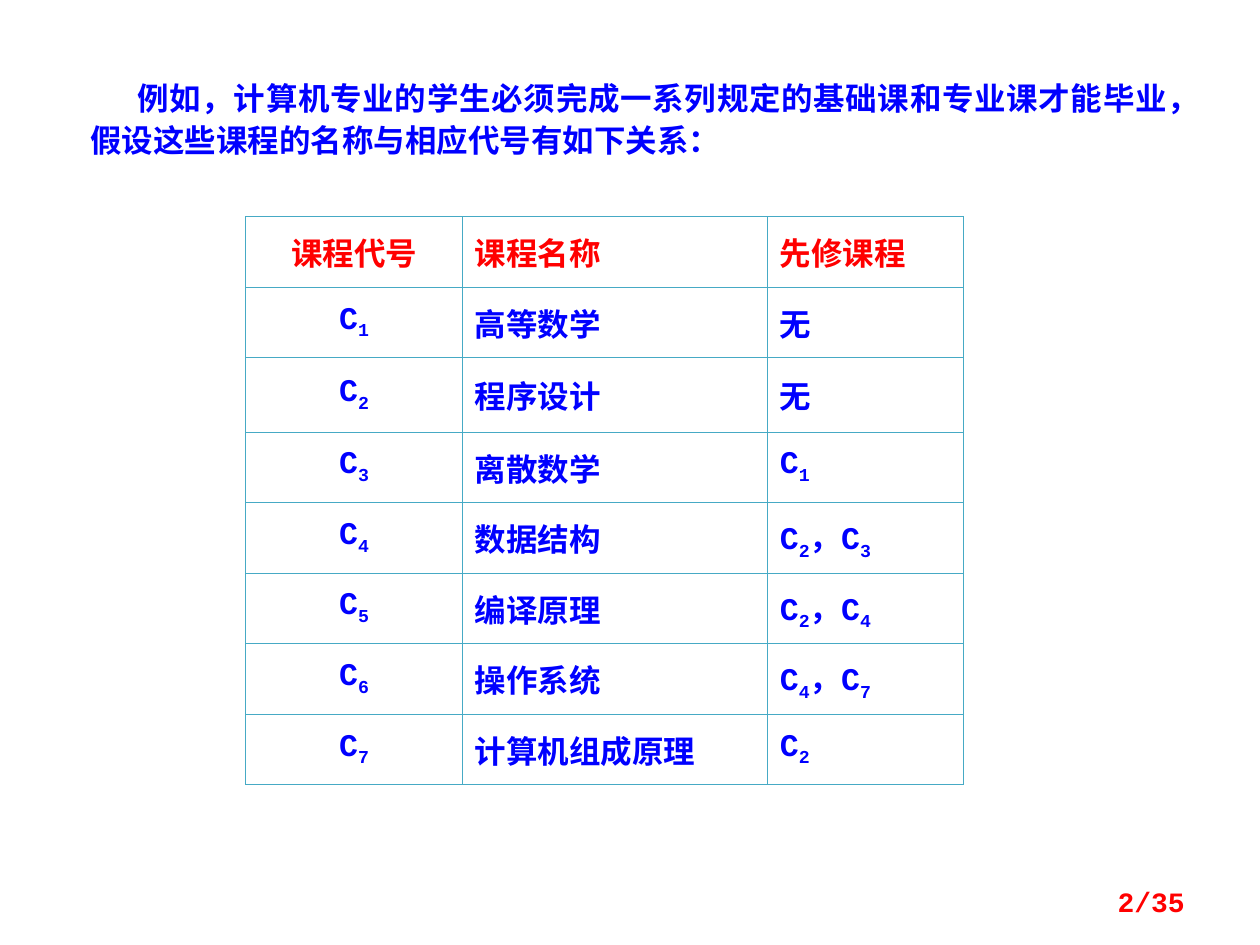
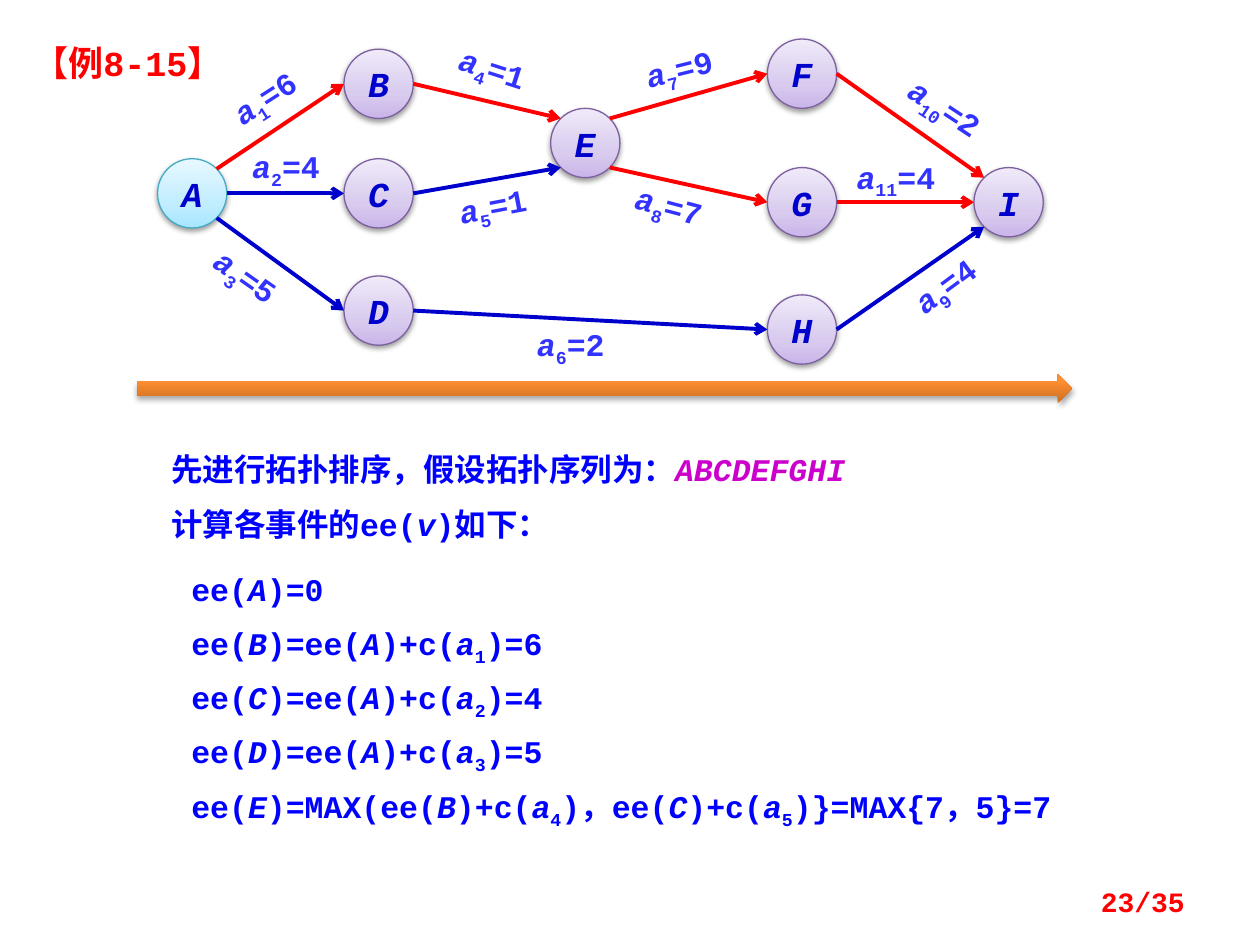
import math
from dataclasses import dataclass
from typing import Any, Iterator, NamedTuple, Optional

import lxml.etree
import pptx
import pptx.dml.color
import pptx.enum.shapes
import pptx.enum.text
import pptx.oxml.ns
import pptx.util

RGBColor = pptx.dml.color.RGBColor
Align = pptx.enum.text.PP_ALIGN
Anchor = pptx.enum.text.MSO_ANCHOR
Preset = pptx.enum.shapes.MSO_SHAPE
qn = pptx.oxml.ns.qn

EMU_PER_PX = 9144
BLUE = RGBColor(0x00, 0x00, 0xFF)
DARK_BLUE = RGBColor(0x00, 0x00, 0xCC)
LABEL_BLUE = RGBColor(0x33, 0x33, 0xFF)
RED = RGBColor(0xFF, 0x00, 0x00)
MAGENTA = RGBColor(0xCC, 0x00, 0xCC)
WHITE = RGBColor(0xFF, 0xFF, 0xFF)
TEAL = RGBColor(0x46, 0xAA, 0xC5)
PURPLE = RGBColor(0x7D, 0x60, 0xA0)

CJK_FONT = "Noto Sans CJK SC"
CODE_FONT = "Courier New"
MARKERS = {"*": "italic", "~": "subscript", "^": "accent"}
PAGE_COUNT = 35
NO_MARGINS = dict.fromkeys(("margin_left", "margin_right", "margin_top", "margin_bottom"), 0)


class Box(NamedTuple):
    left: int
    top: int
    width: int
    height: int


@dataclass(frozen=True)
class TextStyle:
    color: RGBColor
    size: int = 18
    font: str = CODE_FONT
    italic: bool = False
    alignment: Any = Align.LEFT
    line_spacing: Any = 1.0
    gap: int = 0
    indent: int = 0


@dataclass(frozen=True)
class Gradient:
    stops: tuple[tuple[int, RGBColor], ...]
    shadow_opacity: int
    shadow_distance: float


@dataclass(frozen=True)
class Event:
    left: int
    top: int
    diameter: int = 55

    def rim(self, degrees: int) -> tuple[int, int]:
        radius = self.diameter / 2
        angle = math.radians(degrees)
        return (px(self.left + radius + radius * math.cos(angle)),
                px(self.top + radius + radius * math.sin(angle)))


class Activity(NamedTuple):
    source: str
    leave: int
    target: str
    arrive: int
    color: RGBColor
    duration: int
    label_left: int
    label_top: int
    rotation: float


CYAN_GRADIENT = Gradient(((0, RGBColor(0xA7, 0xE6, 0xFF)), (35, RGBColor(0xC1, 0xED, 0xFF)),
                          (100, RGBColor(0xE7, 0xF8, 0xFF))), 38, 1.6)
LILAC_GRADIENT = Gradient(((0, RGBColor(0xC9, 0xB5, 0xE8)), (35, RGBColor(0xD8, 0xCB, 0xEE)),
                           (100, RGBColor(0xF0, 0xEA, 0xF9))), 38, 1.6)
ORANGE_GRADIENT = Gradient(((0, RGBColor(0xCC, 0x6E, 0x20)), (80, RGBColor(0xFF, 0x90, 0x34)),
                            (100, RGBColor(0xFF, 0x91, 0x36))), 35, 1.8)

TITLE_STYLE = TextStyle(RED, 20, alignment=Align.CENTER)
PAGE_STYLE = TextStyle(RED, 16, alignment=Align.RIGHT)
EXAMPLE_STYLE = TextStyle(BLUE, font="Times New Roman", alignment=Align.JUSTIFY,
                          line_spacing=1.1, indent=37)
ORDER_STYLE = TextStyle(BLUE, line_spacing=pptx.util.Pt(22), gap=9)
FORMULA_STYLE = TextStyle(BLUE, alignment=Align.JUSTIFY, line_spacing=0.9, gap=9)
EVENT_STYLE = TextStyle(DARK_BLUE, 20, italic=True, alignment=Align.CENTER)
ACTIVITY_STYLE = TextStyle(LABEL_BLUE, alignment=Align.CENTER)

COLUMN_WIDTHS = (172, 242, 156)
ROW_HEIGHTS = (56, 56, 59, 56, 56, 56, 56, 56)
COURSES = (
    ("课程代号", "课程名称", "先修课程"),
    ("C~1~", "高等数学", "无"),
    ("C~2~", "程序设计", "无"),
    ("C~3~", "离散数学", "C~1~"),
    ("C~4~", "数据结构", "C~2~，C~3~"),
    ("C~5~", "编译原理", "C~2~，C~4~"),
    ("C~6~", "操作系统", "C~4~，C~7~"),
    ("C~7~", "计算机组成原理", "C~2~"),
)

EVENTS = {
    "A": Event(125, 126), "B": Event(273, 39), "C": Event(273, 126),
    "D": Event(273, 219), "E": Event(437, 86), "F": Event(609, 31),
    "G": Event(609, 133), "H": Event(609, 234), "I": Event(773, 133),
}
ACTIVITIES = (
    Activity("A", -45, "B", 180, RED, 6, 163, 62, 327.3),
    Activity("A", 0, "C", 180, DARK_BLUE, 4, 180, 117, 0),
    Activity("A", 45, "D", 180, DARK_BLUE, 5, 148, 204, 35.2),
    Activity("B", 0, "E", 225, RED, 1, 344, 39, 17.8),
    Activity("C", 0, "E", 135, DARK_BLUE, 1, 344, 148, 349.2),
    Activity("D", 0, "H", 180, DARK_BLUE, 2, 406, 258, 0),
    Activity("E", -45, "F", 180, RED, 9, 492, 39, 346),
    Activity("E", 45, "G", 180, RED, 7, 484, 148, 14.7),
    Activity("H", 0, "I", 135, DARK_BLUE, 4, 703, 211, 323.4),
    Activity("F", 0, "I", 225, RED, 2, 703, 70, 33.4),
    Activity("G", 0, "I", 180, RED, 4, 664, 125, 0),
)
FORMULAS = (
    "ee(*A*)=0",
    "ee(*B*)=ee(*A*)+c(*a*~1~)=6",
    "ee(*C*)=ee(*A*)+c(*a*~2~)=4",
    "ee(*D*)=ee(*A*)+c(*a*~3~)=5",
    "ee(*E*)=MAX(ee(*B*)+c(*a*~4~)，ee(*C*)+c(*a*~5~)}=MAX{7，5}=7",
)


def px(value: float) -> int:
    return round(value * EMU_PER_PX)


def scaled(box: Box) -> list[int]:
    return [px(value) for value in box]


def apply(target: Any, values: dict[str, Any]) -> None:
    for name, value in values.items():
        setattr(target, name, value)


def add_element(parent: Any, tag: str, **attributes: Any) -> Any:
    texts = {name: str(value) for name, value in attributes.items()}
    return lxml.etree.SubElement(parent, qn(tag), texts)


def parse_markup(markup: str) -> Iterator[tuple[str, frozenset[str]]]:
    active: frozenset[str] = frozenset()
    piece = ""
    for character in markup:
        if character not in MARKERS:
            piece += character
            continue
        if piece:
            yield piece, active
        piece = ""
        active ^= {MARKERS[character]}
    if piece:
        yield piece, active


def write_text(frame: Any, lines: tuple[str, ...], style: TextStyle) -> None:
    for index, line in enumerate(lines):
        paragraph = frame.add_paragraph() if index else frame.paragraphs[0]
        apply(paragraph, {"alignment": style.alignment, "line_spacing": style.line_spacing,
                          "space_before": pptx.util.Pt(style.gap if index else 0)})
        if style.indent:
            paragraph._p.get_or_add_pPr().set("indent", str(px(style.indent)))
        for text, marks in parse_markup(line):
            run = paragraph.add_run()
            run.text = text
            apply(run.font, {"name": style.font, "size": pptx.util.Pt(style.size), "bold": True,
                             "italic": style.italic or "italic" in marks})
            run.font.color.rgb = MAGENTA if "accent" in marks else style.color
            properties = run._r.get_or_add_rPr()
            properties.set("lang", "zh-CN")
            if "subscript" in marks:
                properties.set("baseline", "-25000")
            add_element(properties, "a:ea", typeface=CJK_FONT)


def add_text(slide: Any, box: Box, lines: tuple[str, ...], style: TextStyle,
             frame_format: Optional[dict[str, Any]] = None) -> Any:
    shape = slide.shapes.add_textbox(*scaled(box))
    apply(shape.text_frame, {"word_wrap": True, **(frame_format or {})})
    write_text(shape.text_frame, lines, style)
    return shape


def add_page_number(slide: Any, number: int) -> None:
    add_text(slide, Box(717, 695, 233, 40), (f"{number}/{PAGE_COUNT}",), PAGE_STYLE,
             {"vertical_anchor": Anchor.MIDDLE})


def set_title(slide: Any, text: str) -> None:
    title = slide.shapes.title
    apply(title, dict(zip(("left", "top", "width", "height"), scaled(Box(0, 28, 203, 44)))))
    apply(title.text_frame, {"word_wrap": True, "vertical_anchor": Anchor.TOP,
                             "auto_size": pptx.enum.text.MSO_AUTO_SIZE.NONE})
    write_text(title.text_frame, (text,), TITLE_STYLE)


def add_gradient_shape(slide: Any, preset: Any, box: Box, gradient: Gradient,
                       outline: Optional[RGBColor] = None) -> Any:
    shape = slide.shapes.add_shape(preset, *scaled(box))
    shape.fill.gradient()
    shape.fill.gradient_angle = 90
    stop_list = shape._element.spPr.find(qn("a:gradFill")).find(qn("a:gsLst"))
    stop_list.clear()
    for position, color in gradient.stops:
        stop = add_element(stop_list, "a:gs", pos=position * 1000)
        add_element(stop, "a:srgbClr", val=color)
    if outline is None:
        shape.line.fill.background()
    else:
        shape.line.color.rgb = outline
        shape.line.width = pptx.util.Pt(0.75)
    shape.shadow.inherit = False
    effects = shape._element.spPr.find(qn("a:effectLst"))
    shadow = add_element(effects, "a:outerShdw", blurRad=pptx.util.Pt(3.1),
                         dist=pptx.util.Pt(gradient.shadow_distance), dir=5400000, rotWithShape=0)
    shade = add_element(shadow, "a:srgbClr", val="000000")
    add_element(shade, "a:alpha", val=gradient.shadow_opacity * 1000)
    return shape


def add_event(slide: Any, name: str, event: Event) -> None:
    first = name == "A"
    box = Box(event.left, event.top, event.diameter, event.diameter)
    shape = add_gradient_shape(slide, Preset.OVAL, box,
                               CYAN_GRADIENT if first else LILAC_GRADIENT,
                               TEAL if first else PURPLE)
    apply(shape.text_frame, {**NO_MARGINS, "vertical_anchor": Anchor.MIDDLE})
    write_text(shape.text_frame, (name,), EVENT_STYLE)


def add_activity(slide: Any, number: int, activity: Activity) -> None:
    connector = slide.shapes.add_connector(
        pptx.enum.shapes.MSO_CONNECTOR.STRAIGHT,
        *EVENTS[activity.source].rim(activity.leave),
        *EVENTS[activity.target].rim(activity.arrive))
    connector.line.color.rgb = activity.color
    connector.line.width = pptx.util.Pt(2.25)
    add_element(connector.line._get_or_add_ln(), "a:tailEnd", type="arrow")
    add_element(connector._element.spPr, "a:effectLst")
    label = add_text(slide, Box(activity.label_left, activity.label_top, 94, 31),
                     (f"*a*~{number}~={activity.duration}",), ACTIVITY_STYLE, NO_MARGINS)
    label.rotation = activity.rotation


def add_cell_borders(cell: Any) -> None:
    properties = cell._tc.get_or_add_tcPr()
    for index, edge in enumerate(("a:lnL", "a:lnR", "a:lnT", "a:lnB")):
        line = add_element(properties, edge, w=pptx.util.Pt(0.75))
        fill = add_element(line, "a:solidFill")
        add_element(fill, "a:srgbClr", val=TEAL)
        properties.insert(index, line)


def add_course_table(slide: Any) -> None:
    box = Box(195, 172, sum(COLUMN_WIDTHS), sum(ROW_HEIGHTS))
    table = slide.shapes.add_table(len(ROW_HEIGHTS), len(COLUMN_WIDTHS), *scaled(box)).table
    apply(table, {"first_row": False, "horz_banding": False})
    for column, width in zip(table.columns, COLUMN_WIDTHS):
        column.width = px(width)
    for row_index, texts in enumerate(COURSES):
        table.rows[row_index].height = px(ROW_HEIGHTS[row_index])
        for column_index, text in enumerate(texts):
            cell = table.cell(row_index, column_index)
            cell.vertical_anchor = Anchor.MIDDLE
            cell.fill.solid()
            cell.fill.fore_color.rgb = WHITE
            add_cell_borders(cell)
            style = TextStyle(BLUE if row_index else RED,
                              font=CODE_FONT if row_index else CJK_FONT,
                              alignment=Align.JUSTIFY if column_index else Align.CENTER)
            write_text(cell.text_frame, (text,), style)


def build_course_slide(presentation: Any) -> None:
    slide = presentation.slides.add_slide(presentation.slide_layouts[6])
    add_course_table(slide)
    add_text(slide, Box(62, 55, 900, 74), (
        "例如，计算机专业的学生必须完成一系列规定的基础课和专业课才能毕业，"
        "假设这些课程的名称与相应代号有如下关系：",), EXAMPLE_STYLE)
    add_page_number(slide, 2)


def build_network_slide(presentation: Any) -> None:
    slide = presentation.slides.add_slide(presentation.slide_layouts[5])
    set_title(slide, "【例8-15】")
    add_text(slide, Box(142, 451, 738, 207), FORMULAS, FORMULA_STYLE)
    add_text(slide, Box(126, 352, 686, 85), (
        "先进行拓扑排序，假设拓扑序列为：^*ABCDEFGHI*^", "计算各事件的ee(*v*)如下："), ORDER_STYLE)
    for name, event in EVENTS.items():
        add_event(slide, name, event)
    for number, activity in enumerate(ACTIVITIES, start=1):
        label_number = {9: 9, 10: 10, 11: 11}.get(number, number)
        add_activity(slide, label_number, activity)
    add_gradient_shape(slide, Preset.RIGHT_ARROW, Box(109, 297, 742, 23), ORANGE_GRADIENT)
    add_page_number(slide, 23)


def main() -> None:
    presentation = pptx.Presentation()
    apply(presentation, {"slide_width": px(1000), "slide_height": px(750)})
    build_course_slide(presentation)
    build_network_slide(presentation)
    presentation.save("out.pptx")


if __name__ == "__main__":
    main()
